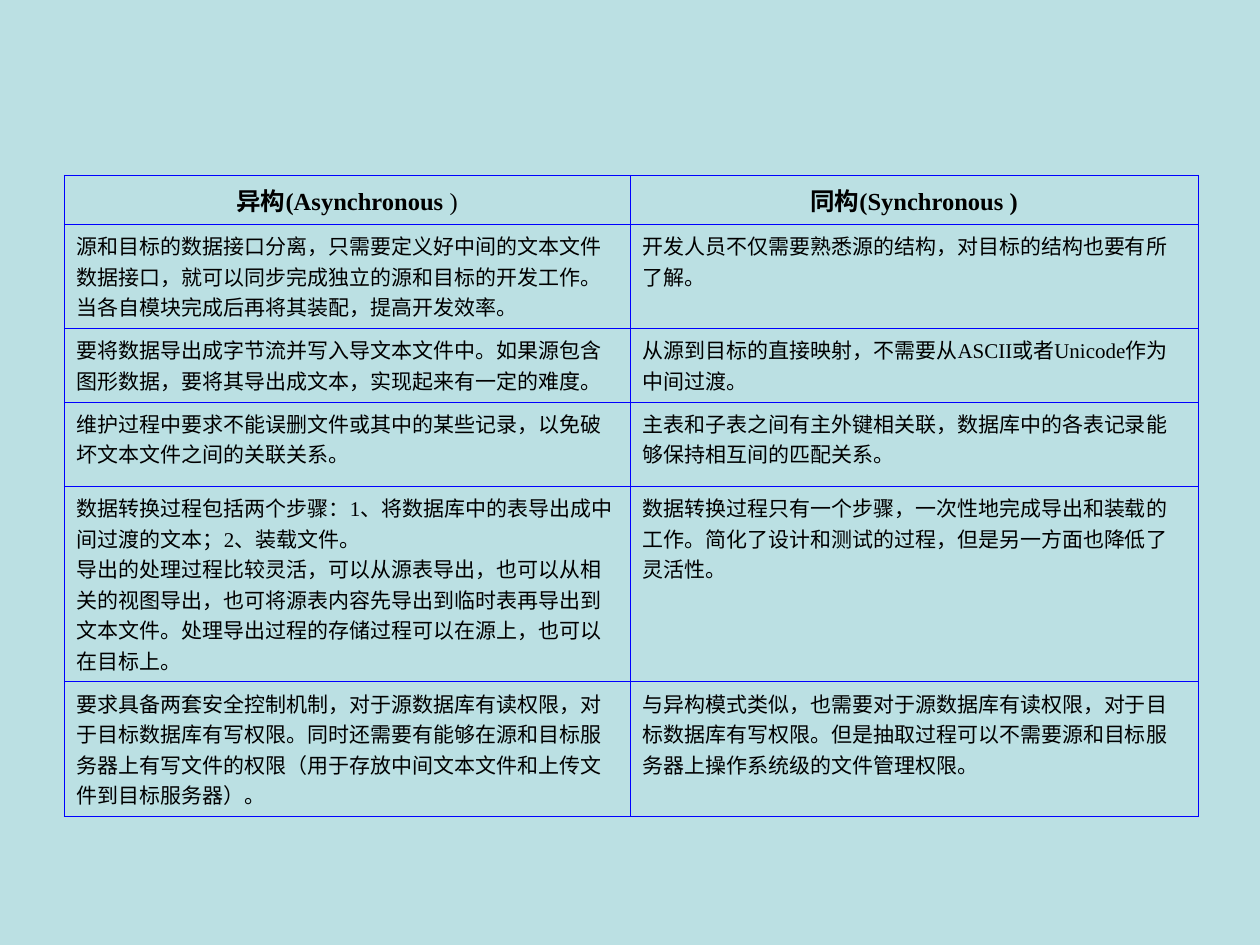
"""Build a slide with a table comparing heterogeneous and homogeneous data transfer."""
from lxml import etree
from pptx import Presentation
from pptx.dml.color import RGBColor
from pptx.enum.text import PP_ALIGN
from pptx.oxml.ns import qn
from pptx.util import Inches, Pt

CENTER, LEFT = PP_ALIGN.CENTER, PP_ALIGN.LEFT
COLORS = {"background": "BBE0E3", "border": "0000FF", "text": "000000"}
FONT = "Times New Roman"
BORDER_WIDTH = Pt(0.45)
COLUMN_WIDTHS = [4.49, 4.51]
ROW_HEIGHTS = [0.39, 0.79, 0.51, 0.67, 1.3, 0.9]
HEADINGS = [[("异构(Asynchronous ", True), (")", False)], [("同构(Synchronous )", True)]]
COMPARISONS = [
    ("源和目标的数据接口分离，只需要定义好中间的文本文件数据接口，就可以同步完成独立的源和目标的开发工作。当各自模块完成后再将其装配，提高开发效率。",
     "开发人员不仅需要熟悉源的结构，对目标的结构也要有所了解。"),
    ("要将数据导出成字节流并写入导文本文件中。如果源包含图形数据，要将其导出成文本，实现起来有一定的难度。",
     "从源到目标的直接映射，不需要从ASCII或者Unicode作为中间过渡。"),
    ("维护过程中要求不能误删文件或其中的某些记录，以免破坏文本文件之间的关联关系。",
     "主表和子表之间有主外键相关联，数据库中的各表记录能够保持相互间的匹配关系。"),
    ("数据转换过程包括两个步骤：1、将数据库中的表导出成中间过渡的文本；2、装载文件。\n"
     "导出的处理过程比较灵活，可以从源表导出，也可以从相关的视图导出，也可将源表内容先导出到临时表再导出到文本文件。处理导出过程的存储过程可以在源上，也可以在目标上。",
     "数据转换过程只有一个步骤，一次性地完成导出和装载的工作。简化了设计和测试的过程，但是另一方面也降低了灵活性。"),
    ("要求具备两套安全控制机制，对于源数据库有读权限，对于目标数据库有写权限。同时还需要有能够在源和目标服务器上有写文件的权限（用于存放中间文本文件和上传文件到目标服务器）。",
     "与异构模式类似，也需要对于源数据库有读权限，对于目标数据库有写权限。但是抽取过程可以不需要源和目标服务器上操作系统级的文件管理权限。"),
]


def add_span(para, text, size=12, bold=False, align=LEFT):
    para.alignment = align
    span = para.add_run()
    span.text = text
    span.font.name = FONT
    span.font.size = Pt(size)
    span.font.bold = bold
    span.font.color.rgb = RGBColor.from_string(COLORS["text"])


def format_cell(cell):
    properties = cell._tc.get_or_add_tcPr()
    for side in ("a:lnL", "a:lnR", "a:lnT", "a:lnB"):
        line = etree.SubElement(properties, qn(side), w=str(BORDER_WIDTH))
        fill = etree.SubElement(line, qn("a:solidFill"))
        etree.SubElement(fill, qn("a:srgbClr"), val=COLORS["border"])
    cell.fill.background()
    cell.margin_left = cell.margin_right = Inches(0.1)
    cell.margin_top = cell.margin_bottom = Inches(0.05)


deck = Presentation()
deck.slide_width, deck.slide_height = Inches(10), Inches(7.5)
page = deck.slides.add_slide(deck.slide_layouts[6])
page.background.fill.solid()
page.background.fill.fore_color.rgb = RGBColor.from_string(COLORS["background"])

frame = page.shapes.add_table(len(ROW_HEIGHTS), len(COLUMN_WIDTHS),
                              Inches(0.51), Inches(1.39), Inches(9), Inches(4.56))
table = frame.table
table.first_row = table.horz_banding = False
for column, width in zip(table.columns, COLUMN_WIDTHS):
    column.width = Inches(width)
for row, height in zip(table.rows, ROW_HEIGHTS):
    row.height = Inches(height)
for cell in table.iter_cells():
    format_cell(cell)

for column_index, heading in enumerate(HEADINGS):
    para = table.cell(0, column_index).text_frame.paragraphs[0]
    for text, bold in heading:
        add_span(para, text, size=14, bold=bold, align=CENTER)

for row_index, comparison in enumerate(COMPARISONS, start=1):
    for column_index, content in enumerate(comparison):
        box = table.cell(row_index, column_index).text_frame
        for line_index, text in enumerate(content.split("\n")):
            para = box.add_paragraph() if line_index else box.paragraphs[0]
            add_span(para, text)

deck.save("out.pptx")
